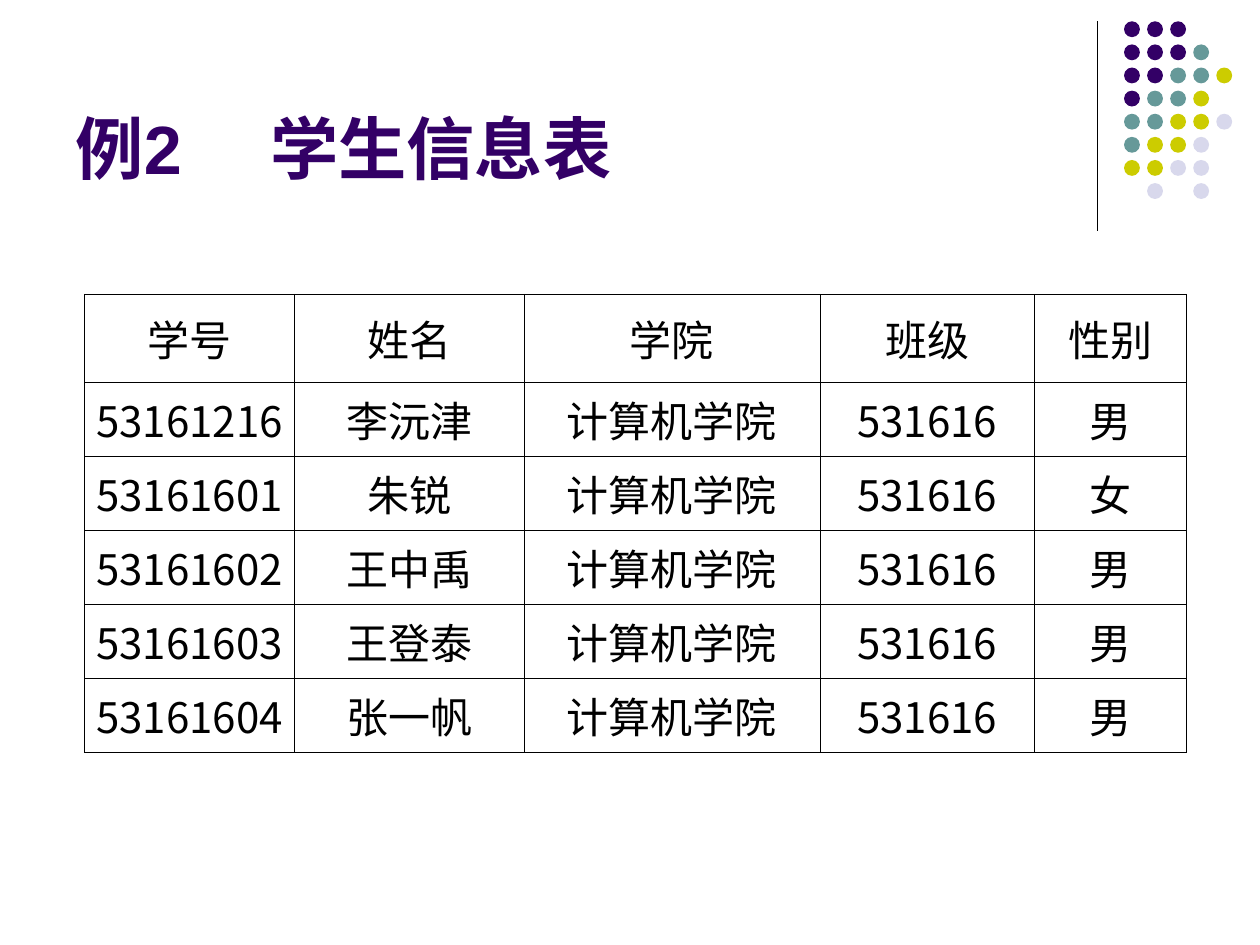
from lxml.etree import SubElement as Sub
from pptx import Presentation
from pptx.dml.color import RGBColor
from pptx.enum.shapes import MSO_CONNECTOR as Conn, MSO_SHAPE as Shape
from pptx.enum.text import MSO_ANCHOR as Anchor, MSO_AUTO_SIZE as Auto, PP_ALIGN as Align
from pptx.oxml.ns import qn
from pptx.util import Cm, Pt

BLACK = RGBColor(0x00, 0x00, 0x00)
PURPLE = RGBColor(0x33, 0x00, 0x66)
TEAL = RGBColor(0x66, 0x99, 0x99)
LIME = RGBColor(0xCC, 0xCC, 0x00)
PALE = RGBColor(0xD8, 0xD8, 0xEC)
CJK = "Noto Sans CJK SC"


def style(run, color, **form):
    run.font.color.rgb = color
    for key, val in form.items():
        setattr(run.font, key, val)
    Sub(run.font._element, qn("a:ea"), typeface=CJK)


def border(cell):
    """Draw a thin black line on all four sides of the cell."""
    props = cell._tc.get_or_add_tcPr()
    for n, side in enumerate(("lnL", "lnR", "lnT", "lnB")):
        line = props.makeelement(qn("a:" + side), {"w": str(Pt(0.23))})
        fill = Sub(line, qn("a:solidFill"))
        Sub(fill, qn("a:srgbClr"), val=str(BLACK))
        props.insert(n, line)


deck = Presentation()
deck.slide_width, deck.slide_height = Cm(25.4), Cm(19.05)
slide = deck.slides.add_slide(deck.slide_layouts[5])

# Corner ornament: a rule and a grid of dots
rule = slide.shapes.add_connector(Conn.STRAIGHT, Cm(22.12), Cm(0.43), Cm(22.12), Cm(4.65))
rule.line.color.rgb = BLACK
rule.line.width = Pt(0.75)
Sub(rule._element.spPr, qn("a:effectLst"))

hues = {"P": PURPLE, "T": TEAL, "L": LIME, "W": PALE}
grid = ("PPP", "PPPT", "PPTTL", "PTTL", "TTLLW", "TLLW", "LLWW", ".W.W")
dots = slide.shapes.add_group_shape()
for row, marks in enumerate(grid):
    for col, mark in enumerate(marks):
        if mark == ".":
            continue
        dot = dots.shapes.add_shape(
            Shape.OVAL, Cm(22.66 + 0.465 * col), Cm(0.43 + 0.466 * row), Cm(0.32), Cm(0.32))
        dot.shadow.inherit = False
        dot.fill.solid()
        dot.fill.fore_color.rgb = hues[mark]
        dot.line.fill.background()

# Title
title = slide.shapes.title
place = {"left": 1.27, "top": 0.33, "width": 20.95, "height": 3.6}
for key, val in place.items():
    setattr(title, key, Cm(val))
frame = title.text_frame
for key, val in {"vertical_anchor": Anchor.BOTTOM, "auto_size": Auto.NONE, "word_wrap": True}.items():
    setattr(frame, key, val)
para = frame.paragraphs[0]
para.alignment = Align.LEFT
tabs = Sub(para._p.get_or_add_pPr(), qn("a:tabLst"))
Sub(tabs, qn("a:tab"), pos=str(Cm(3.92)), algn="l")
run = para.add_run()
run.text = "例2\t学生信息表"
style(run, PURPLE, size=Pt(39), bold=True, name="Arial")

# Student table
school, group = "计算机学院", "531616"
people = [
    ("53161216", "李沅津", "男"),
    ("53161601", "朱锐", "女"),
    ("53161602", "王中禹", "男"),
    ("53161603", "王登泰", "男"),
    ("53161604", "张一帆", "男"),
]
rows = [("学号", "姓名", "学院", "班级", "性别")]
rows += [(code, name, school, group, sex) for code, name, sex in people]
widths = (4.24, 4.62, 5.97, 4.32, 3.07)
heights = [1.78] + [1.24] * len(people)
table = slide.shapes.add_table(
    len(rows), len(widths), Cm(1.7), Cm(5.93), Cm(sum(widths)), Cm(sum(heights))).table
table.first_row = table.horz_banding = False
for col, width in zip(table.columns, widths):
    col.width = Cm(width)
for row, height in zip(table.rows, heights):
    row.height = Cm(height)

look = {
    "vertical_anchor": Anchor.MIDDLE,
    "margin_left": Cm(0.03), "margin_right": Cm(0.03),
    "margin_top": Cm(0.13), "margin_bottom": Cm(0.13),
}
for row, texts in zip(table.rows, rows):
    for cell, text in zip(row.cells, texts):
        for key, val in look.items():
            setattr(cell, key, val)
        cell.fill.background()
        border(cell)
        para = cell.text_frame.paragraphs[0]
        para.alignment = Align.CENTER
        run = para.add_run()
        run.text = text
        style(run, BLACK, size=Pt(24), name=CJK)

deck.save("out.pptx")
